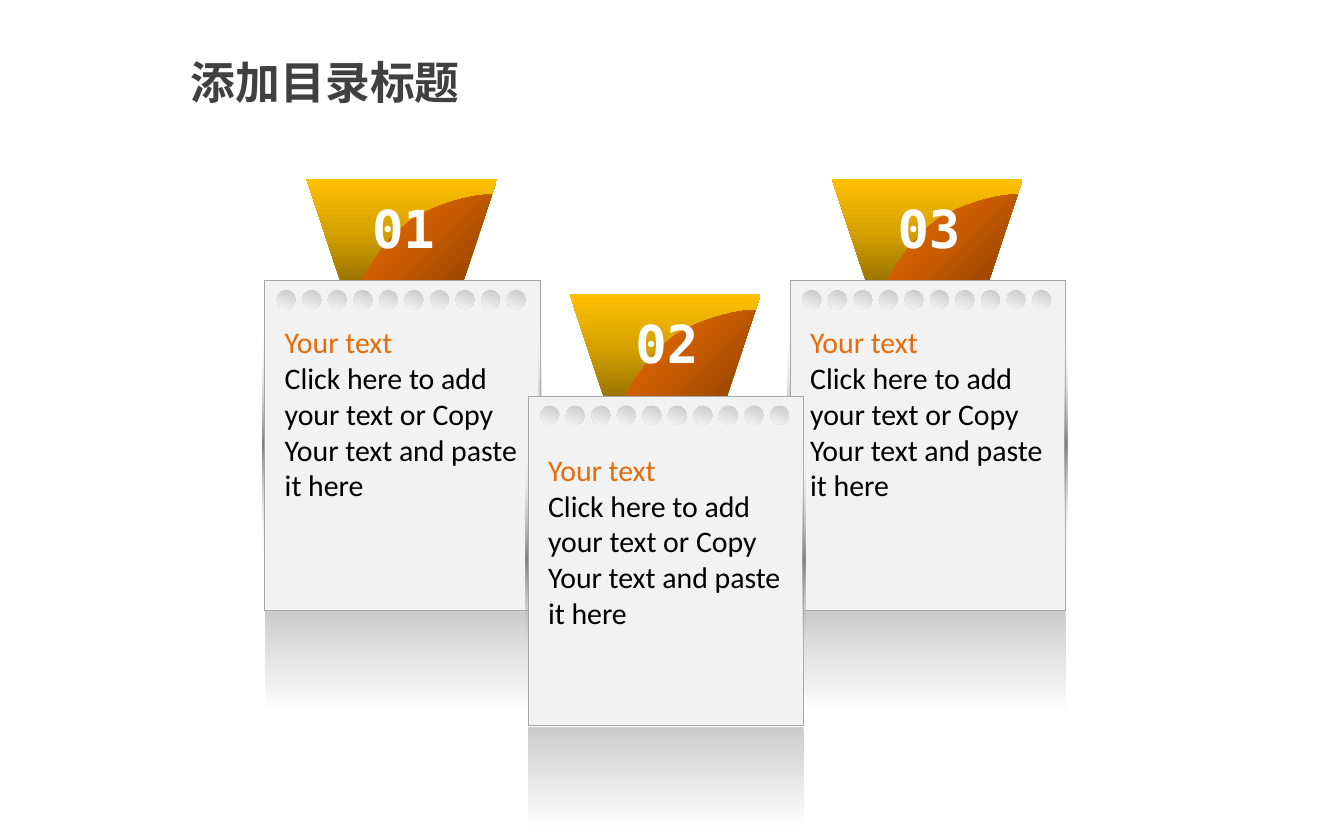
from lxml import etree
from pptx import Presentation
from pptx.dml.color import RGBColor
from pptx.enum import shapes, text
from pptx.oxml.ns import qn
from pptx.util import Inches, Pt

# Gradient stops: position in percent, colour, opacity in percent
GOLD = [(0, "977200", 100), (50, "D7A200", 100), (100, "FFC000", 100)]
ORANGE = [(0, "8D4000", 100), (50, "C85B00", 100), (100, "EE6B00", 100)]
EDGE = [(0, "FFFFFF", 0), (50, "808080", 100), (100, "FFFFFF", 0)]
HOLE = [(0, "BFBFBF", 100), (100, "FFFFFF", 100)]
FADE = [(0, "CCCCCC", 100), (100, "FFFFFF", 100)]

# Number, left and top of the note, drop of its text; from back to front
CARDS = [("03", 5.88, 2.09, 0.27), ("01", 1.97, 2.09, 0.27), ("02", 3.93, 2.95, 0.36)]
NOTE_WIDTH, NOTE_HEIGHT = 2.05, 2.45
NOTE_LINES = ["Your text", "Click here to add", "your text or Copy",
              "Your text and paste", "it here"]

# Swoosh, measured from the note's corner: two control points and an end per curve
SWOOSH_START = (0.71, 0.02)
SWOOSH_CURVES = [
    [(0.79, -0.14), (0.94, -0.35), (1.10, -0.46)],
    [(1.27, -0.57), (1.56, -0.65), (1.69, -0.64)],
    [(1.66, -0.55), (1.47, 0.02), (1.47, 0.02)],
]


def colour(value):
    return RGBColor.from_string(value)


def fill_gradient(shape, stops, angle=None):
    """Linear gradient at an angle, or a round one from the lower right corner."""
    shape.fill.gradient()
    gradient = shape._element.spPr.find(qn("a:gradFill"))
    gradient.clear()
    gradient.set("rotWithShape", "1")
    stop_list = etree.SubElement(gradient, qn("a:gsLst"))
    for position, value, opacity in stops:
        stop = etree.SubElement(stop_list, qn("a:gs"), pos=str(position * 1000))
        tint = etree.SubElement(stop, qn("a:srgbClr"), val=value)
        if opacity < 100:
            etree.SubElement(tint, qn("a:alpha"), val=str(opacity * 1000))
    if angle is None:
        circle = etree.SubElement(gradient, qn("a:path"), path="circle")
        etree.SubElement(circle, qn("a:fillToRect"), l="100000", t="100000")
    else:
        etree.SubElement(gradient, qn("a:lin"), ang=str(angle * 60000), scaled="0")


def add_plain(parent, kind, left, top, width, height, rotation=0):
    shape = parent.shapes.add_shape(kind, Inches(left), Inches(top),
                                    Inches(width), Inches(height))
    shape.rotation = rotation
    shape.shadow.inherit = False
    shape.line.fill.background()
    return shape


def add_span(para, words, size, font, value, bold=False):
    span = para.add_run()
    span.text = words
    span.font.size = Pt(size)
    span.font.name = font
    span.font.bold = bold
    span.font.color.rgb = colour(value)
    return span


def add_text_box(parent, left, top, width, height):
    box = parent.shapes.add_textbox(Inches(left), Inches(top),
                                    Inches(width), Inches(height))
    box.text_frame.word_wrap = False
    box.text_frame.auto_size = text.MSO_AUTO_SIZE.SHAPE_TO_FIT_TEXT
    return box.text_frame


def add_swoosh(parent, left, top):
    def place(point):
        return Inches(left + point[0]), Inches(top + point[1])

    builder = parent.shapes.build_freeform(*place(SWOOSH_START))
    builder.add_line_segments([place(curve[-1]) for curve in SWOOSH_CURVES], close=True)
    swoosh = builder.convert_to_shape()
    swoosh.shadow.inherit = False
    swoosh.line.fill.background()
    fill_gradient(swoosh, ORANGE)

    # Bend each straight side into its curve
    sides = list(swoosh._element.iter(qn("a:lnTo")))
    for side, curve in zip(sides, SWOOSH_CURVES):
        bend = etree.Element(qn("a:cubicBezTo"))
        for point in curve:
            x, y = place(point)
            etree.SubElement(bend, qn("a:pt"), x=str(x - swoosh.left),
                             y=str(y - swoosh.top))
        side.getparent().replace(side, bend)


def add_card(page, number, left, top):
    card = page.shapes.add_group_shape()
    kinds = shapes.MSO_SHAPE

    # Numbered tab
    tab = add_plain(card, kinds.TRAPEZOID, left + 0.31, top - 0.76, 1.42, 0.78, 180)
    tab.adjustments[0] = 0.33
    fill_gradient(tab, GOLD, 90)
    add_swoosh(card, left, top)
    frame = add_text_box(card, left + 0.70, top - 0.68, 0.69, 0.57)
    add_span(frame.paragraphs[0], number, 28, "DejaVu Sans Mono", "FFFFFF", True)

    # Note between its two shaded edges
    def add_edge(offset):
        edge = add_plain(card, kinds.RECTANGLE, left + offset, top + 0.35, 0.02, 1.73)
        fill_gradient(edge, EDGE, 90)

    add_edge(-0.02)
    note = add_plain(card, kinds.RECTANGLE, left, top, NOTE_WIDTH, NOTE_HEIGHT)
    note.fill.solid()
    note.fill.fore_color.rgb = colour("F2F2F2")
    note.line.color.rgb = colour("A6A6A6")
    note.line.width = Pt(0.01)
    add_edge(NOTE_WIDTH - 0.01)

    # Punched holes
    for index in range(10):
        hole = add_plain(card, kinds.OVAL, left + 0.09 + 0.19 * index, top + 0.07,
                         0.14, 0.14, 30)
        fill_gradient(hole, HOLE, 80)

    # Fading reflection
    reflection = add_plain(card, kinds.RECTANGLE, left, top + NOTE_HEIGHT + 0.01,
                           NOTE_WIDTH, 0.76)
    fill_gradient(reflection, FADE, 90)


def add_note_text(page, left, top):
    frame = add_text_box(page, left, top, 2, 1.45)
    for index, words in enumerate(NOTE_LINES):
        para = frame.add_paragraph() if index else frame.paragraphs[0]
        add_span(para, words, 16, "Calibri", "000000" if index else "E46C0A")


def set_title(page, words):
    title = page.shapes.title
    title.left, title.top = Inches(1.32), Inches(0.36)
    title.width, title.height = Inches(2.22), Inches(0.5)
    frame = title.text_frame
    frame.word_wrap = False
    frame.auto_size = text.MSO_AUTO_SIZE.SHAPE_TO_FIT_TEXT
    frame.vertical_anchor = text.MSO_ANCHOR.TOP
    para = frame.paragraphs[0]
    para.alignment = text.PP_ALIGN.LEFT
    span = add_span(para, words, 24, "Noto Sans CJK SC", "404040", True)
    etree.SubElement(span.font._element, qn("a:ea"), typeface="Noto Sans CJK SC")


def main():
    deck = Presentation()
    deck.slide_width, deck.slide_height = Inches(10), Inches(6.25)
    page = deck.slides.add_slide(deck.slide_layouts[5])
    set_title(page, "添加目录标题")
    for number, left, top, drop in CARDS:
        add_card(page, number, left, top)
    for number, left, top, drop in sorted(CARDS):
        add_note_text(page, left + 0.05, top + drop)
    deck.save("out.pptx")


if __name__ == "__main__":
    main()
